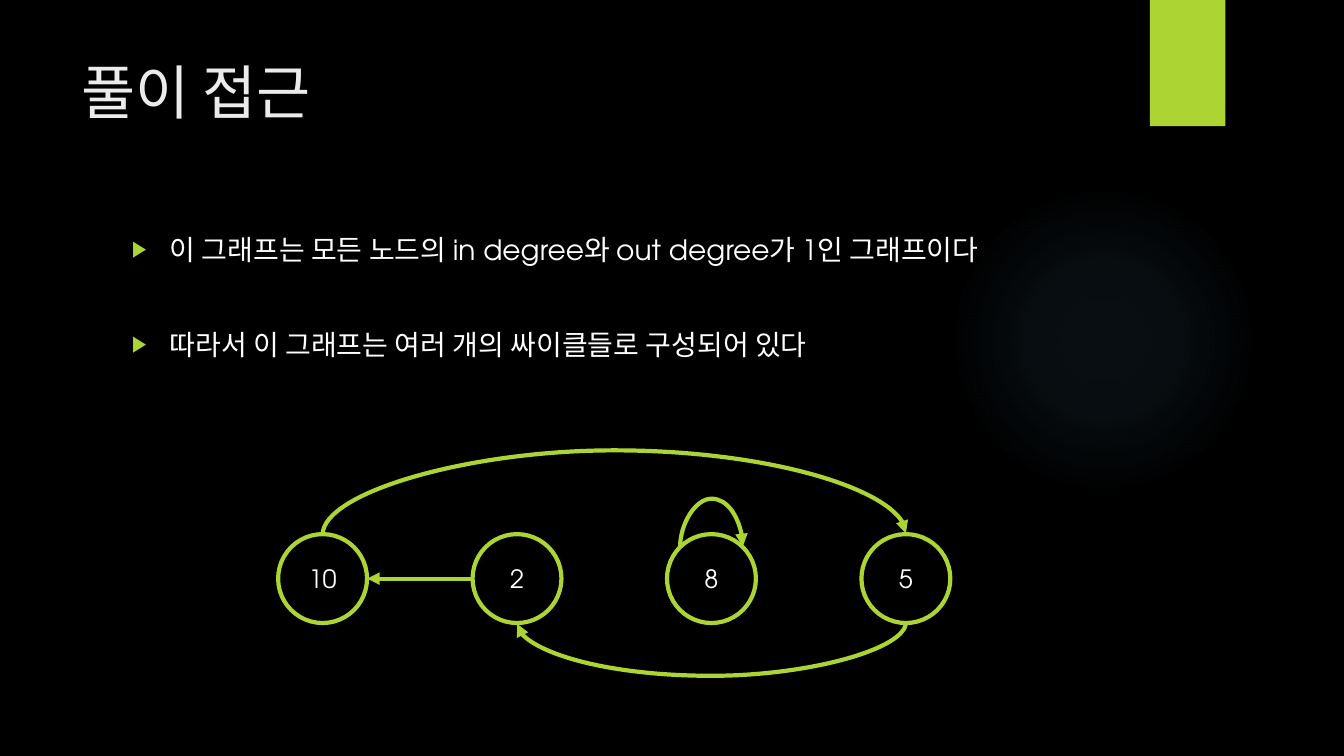
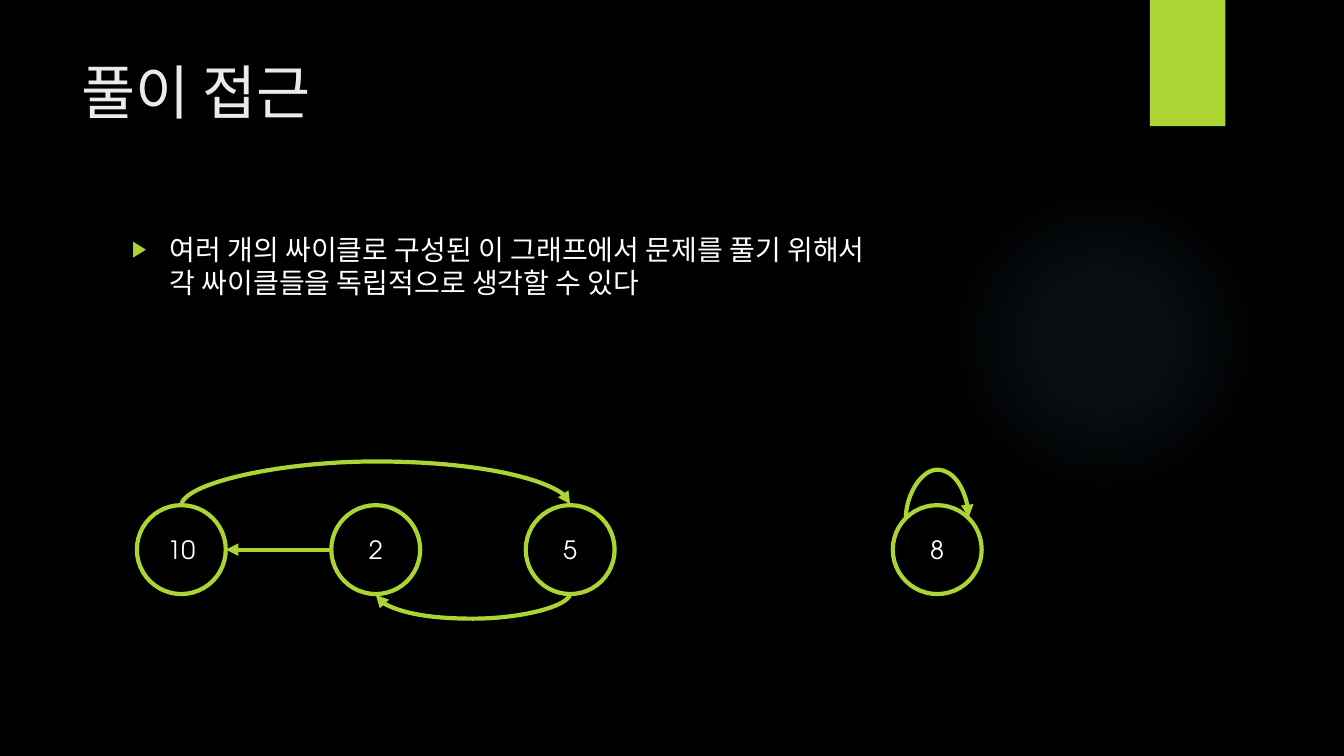
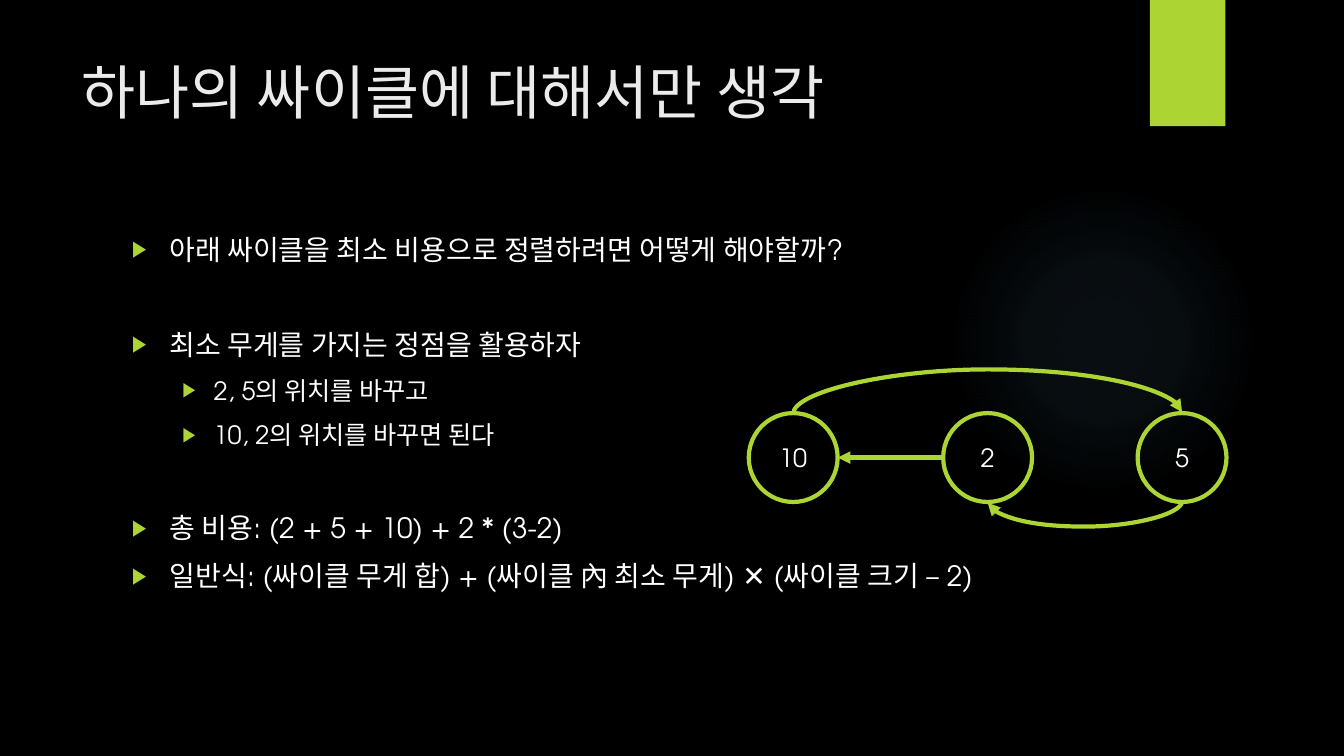
import pptx
import pptx.dml.color
import pptx.enum.shapes
import pptx.enum.text
import pptx.oxml
import pptx.oxml.ns
import pptx.util
import lxml.etree

Cm = pptx.util.Cm
Pt = pptx.util.Pt
qn = pptx.oxml.ns.qn

COLORS = {"background": "000000", "accent": "ACD433", "title": "EBEBEB",
          "text": "FFFFFF", "glow": "7AC4F0"}
RGB = {name: pptx.dml.color.RGBColor.from_string(value) for name, value in COLORS.items()}
FONT = "TeX Gyre Adventor"
NAMESPACE = pptx.oxml.ns.nsdecls("a")

NODE = 2.24        # node diameter
PITCH = 4.9        # distance between neighbouring nodes
THIN = 0.04        # depth of a curve between its two ends
BLOCK_GAP = 44     # space before a new block of bullets

presentation = pptx.Presentation()
presentation.slide_width = Cm(33.87)
presentation.slide_height = Cm(19.05)
master = presentation.slide_master
layout = presentation.slide_layouts[1]

# Background and text styles of the master
master.background.fill.solid()
master.background.fill.fore_color.rgb = RGB["background"]

BULLET = (f'<a:buClr><a:srgbClr val="{COLORS["accent"]}"/></a:buClr><a:buSzPct val="80000"/>'
          '<a:buFont typeface="Arial"/><a:buChar char="▶"/>')
text_styles = [
    # style, level, size, color, left margin, indent, space before, bullet
    ("titleStyle", 1, 42, "title", 0, 0, 0, "<a:buNone/>"),
    ("bodyStyle", 1, 20, "text", 0.95, -0.95, 10, BULLET),
    ("bodyStyle", 2, 18, "text", 2.06, -0.79, 10, BULLET),
]
for style, level, size, color, margin, indent, space, bullet in text_styles:
    tag = f"a:lvl{level}pPr"
    properties = pptx.oxml.parse_xml(
        f'<{tag} {NAMESPACE} marL="{Cm(margin)}" indent="{Cm(indent)}" algn="l">'
        f'<a:spcBef><a:spcPts val="{space * 100}"/></a:spcBef>{bullet}'
        f'<a:defRPr sz="{size * 100}"><a:solidFill><a:srgbClr val="{COLORS[color]}"/></a:solidFill>'
        f'<a:latin typeface="{FONT}"/></a:defRPr></{tag}>')
    parent = master._element.find(".//" + qn(f"p:{style}"))
    parent.replace(parent.find(qn(tag)), properties)

# Title and body placeholders of the layout
for placeholder, box in zip(layout.placeholders, [(1.8, 1.27, 26.14, 3.89),
                                                  (3.07, 5.72, 24.84, 11.66)]):
    placeholder.left, placeholder.top, placeholder.width, placeholder.height = map(Cm, box)
    placeholder.text_frame.vertical_anchor = pptx.enum.text.MSO_ANCHOR.TOP
    placeholder.text_frame.auto_size = pptx.enum.text.MSO_AUTO_SIZE.NONE


def add_node(shapes, left, top, label):
    node = shapes.add_shape(pptx.enum.shapes.MSO_SHAPE.OVAL,
                            Cm(left), Cm(top), Cm(NODE), Cm(NODE))
    node.shadow.inherit = False
    node.fill.background()
    node.line.color.rgb = RGB["accent"]
    node.line.width = Pt(3)
    node.text_frame.text = label
    node.text_frame.vertical_anchor = pptx.enum.text.MSO_ANCHOR.MIDDLE
    paragraph = node.text_frame.paragraphs[0]
    paragraph.alignment = pptx.enum.text.PP_ALIGN.CENTER
    font = paragraph.runs[0].font
    font.name, font.size, font.color.rgb = FONT, Pt(18), RGB["text"]


def add_arrow(shapes, start_x, end_x, y, rise):
    """Straight when rise is 0; else bows up to the right (+) or down to the left (-)."""
    kinds = pptx.enum.shapes.MSO_CONNECTOR
    if rise == 0:
        arrow = shapes.add_connector(kinds.STRAIGHT, Cm(start_x), Cm(y), Cm(end_x), Cm(y))
    else:
        # An upright curve turned by 90 degrees around its centre
        center = (start_x + end_x) / 2
        half_span = (end_x - start_x) / 2
        half_depth = THIN / 2 if rise > 0 else -THIN / 2
        arrow = shapes.add_connector(kinds.CURVE,
                                     Cm(center + half_depth), Cm(y + half_span),
                                     Cm(center - half_depth), Cm(y - half_span))
        arrow._element.spPr.find(qn("a:xfrm")).set("rot", "5400000")
        bend = lxml.etree.SubElement(arrow._element.find(".//" + qn("a:avLst")), qn("a:gd"))
        bend.set("name", "adj1")
        bend.set("fmla", f"val {round(abs(rise) / THIN * 100000)}")
    arrow.line.color.rgb = RGB["accent"]
    arrow.line.width = Pt(3)
    lxml.etree.SubElement(arrow.get_or_add_ln(), qn("a:tailEnd")).set("type", "triangle")
    lxml.etree.SubElement(arrow._element.spPr, qn("a:effectLst"))


# Slide contents: bullets are (text, level, space before);
# graphs are (left, top, labels, arrows as (from, to, rise))
small_cycle = (["10", "2", "5"], [("10", "5", 1.12), ("2", "10", 0), ("5", "2", -0.64)])
self_loop = ("8", "8", 1.24)
contents = [
    ("풀이 접근",
     [("이 그래프는 모든 노드의 in degree와 out degree가 1인 그래프이다", 0, 10),
      ("따라서 이 그래프는 여러 개의 싸이클들로 구성되어 있다", 0, BLOCK_GAP)],
     [(7.01, 13.46, ["10", "2", "8", "5"],
       [("10", "5", 2.13), ("2", "10", 0), ("5", "2", -1.35), self_loop])]),
    ("풀이 접근",
     [("여러 개의 싸이클로 구성된 이 그래프에서 문제를 풀기 위해서\v"
       "각 싸이클들을 독립적으로 생각할 수 있다", 0, 10)],
     [(3.45, 12.73, *small_cycle), (22.5, 12.73, ["8"], [self_loop])]),
    ("하나의 싸이클에 대해서만 생각",
     [("아래 싸이클을 최소 비용으로 정렬하려면 어떻게 해야할까?", 0, 10),
      ("최소 무게를 가지는 정점을 활용하자", 0, BLOCK_GAP),
      ("2, 5의 위치를 바꾸고", 1, 10),
      ("10, 2의 위치를 바꾸면 된다", 1, 10),
      ("총 비용: (2 + 5 + 10) + 2 * (3-2)", 0, BLOCK_GAP),
      ("일반식: (싸이클 무게 합) + (싸이클 內 최소 무게) ✕ (싸이클 크기 – 2)", 0, 10)],
     [(18.87, 10.41, *small_cycle)]),
]

for title, bullets, graphs in contents:
    slide = presentation.slides.add_slide(layout)
    slide.shapes.title.text_frame.text = title

    # Bullet list
    text_frame = slide.placeholders[1].text_frame
    for index, (text, level, space) in enumerate(bullets):
        paragraph = text_frame.add_paragraph() if index else text_frame.paragraphs[0]
        paragraph.text = text
        paragraph.level = level
        paragraph.space_before = Pt(space)

    # Graphs, each one a group
    for left, top, labels, arrows in graphs:
        shapes = slide.shapes.add_group_shape().shapes
        centers = {}
        for index, label in enumerate(labels):
            add_node(shapes, left + index * PITCH, top, label)
            centers[label] = left + index * PITCH + NODE / 2
        for start, end, rise in arrows:
            start_x, end_x = centers[start], centers[end]
            y = top if rise > 0 else top + NODE
            if start == end:
                # From the upper left to the upper right of the same node
                reach = NODE / 2 ** 1.5
                start_x, end_x, y = start_x - reach, end_x + reach, top + NODE / 2 - reach
            elif rise == 0:
                start_x, end_x, y = start_x - NODE / 2, end_x + NODE / 2, top + NODE / 2
            add_arrow(shapes, start_x, end_x, y, rise)

# Glow and corner tab, drawn once and moved to the master
shapes = presentation.slides[0].shapes
glow = shapes.add_shape(pptx.enum.shapes.MSO_SHAPE.OVAL, Cm(23.9), Cm(4.65), Cm(7.82), Cm(7.82))
glow.fill.background()
stops = "".join(
    f'<a:gs pos="{position * 1000}"><a:srgbClr val="{COLORS["glow"]}">'
    f'<a:alpha val="{alpha * 1000}"/></a:srgbClr></a:gs>'
    for position, alpha in [(0, 7), (36, 6), (69, 0)])
properties = glow._element.spPr
properties.replace(properties.find(qn("a:noFill")), pptx.oxml.parse_xml(
    f'<a:gradFill {NAMESPACE}><a:gsLst>{stops}</a:gsLst><a:path path="circle">'
    '<a:fillToRect l="50000" t="50000" r="50000" b="50000"/></a:path></a:gradFill>'))

tab = shapes.add_shape(pptx.enum.shapes.MSO_SHAPE.RECTANGLE, Cm(28.98), 0, Cm(1.9), Cm(3.18))
tab.fill.solid()
tab.fill.fore_color.rgb = RGB["accent"]

for index, shape in enumerate([glow, tab]):
    shape.shadow.inherit = False
    shape.line.fill.background()
    shape._element.nvSpPr.cNvPr.set("id", str(100 + index))
    master.shapes._spTree.insert(2 + index, shape._element)

presentation.save("out.pptx")
